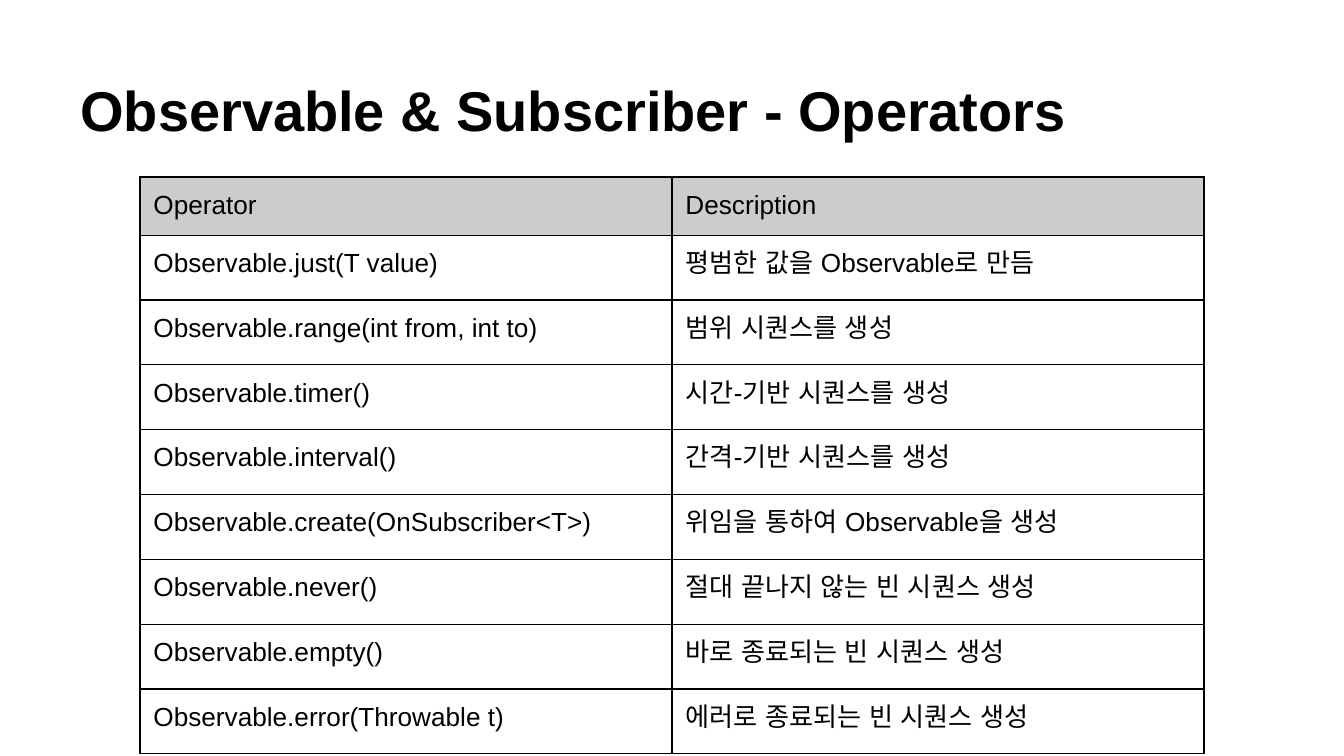
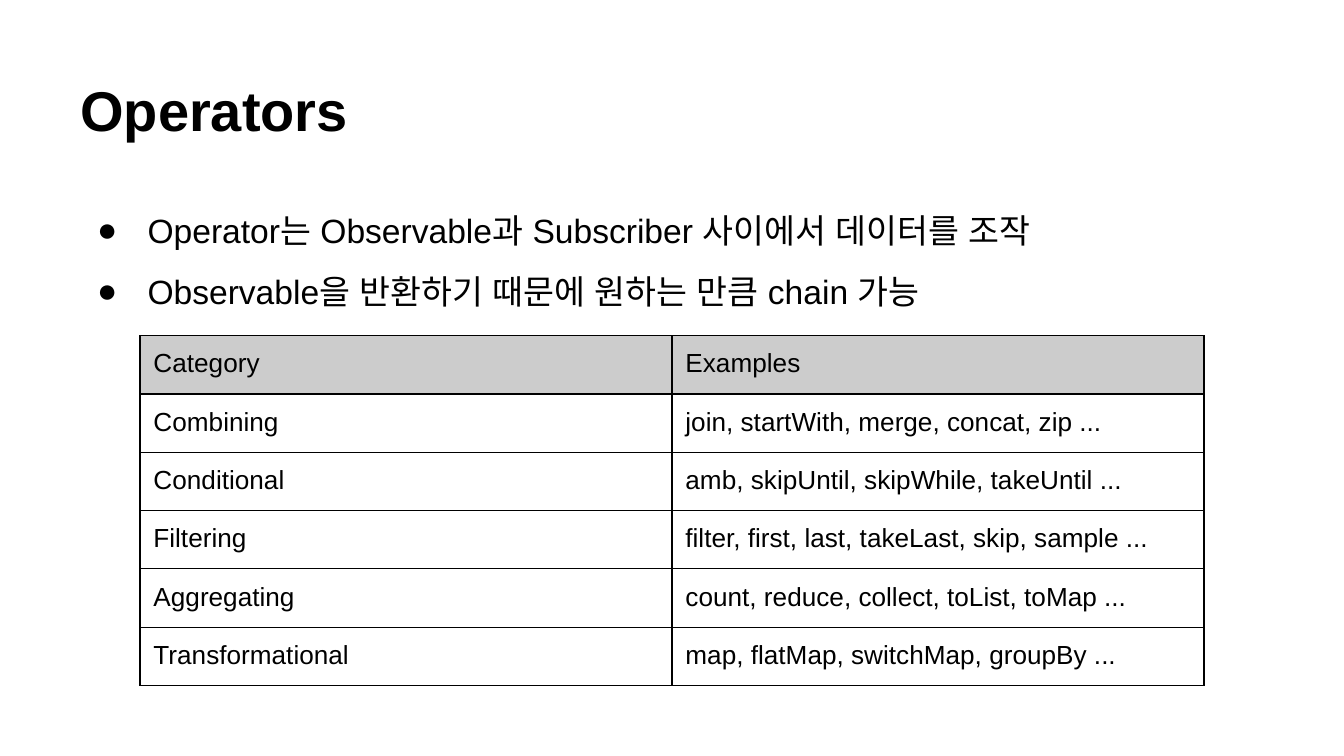
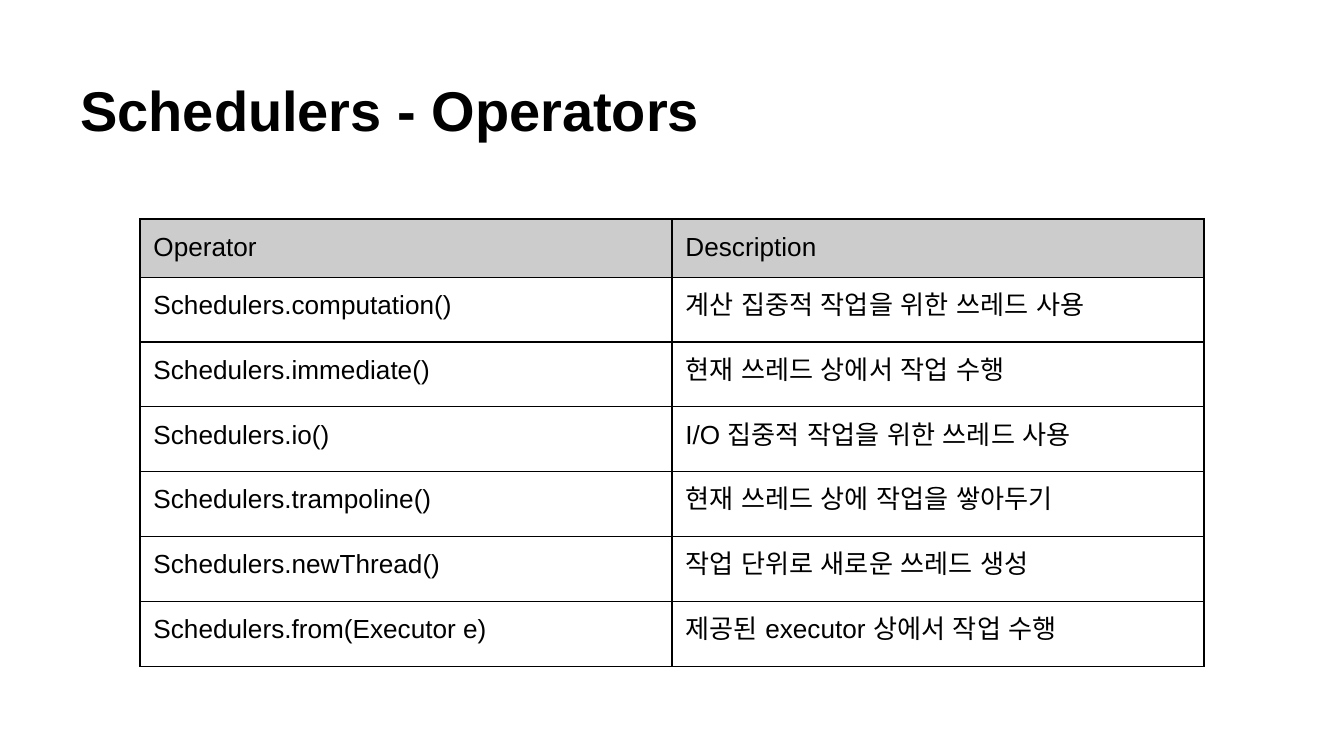
"""Build three slides on reactive operators and schedulers."""
from lxml.etree import SubElement
from pptx import Presentation
from pptx.dml.color import RGBColor
from pptx.enum.text import MSO_ANCHOR as Anchor
from pptx.oxml.ns import qn
from pptx.util import Pt

BLACK = RGBColor(0x00, 0x00, 0x00)
HEADER_GRAY = RGBColor(0xCC, 0xCC, 0xCC)
WHITE = RGBColor(0xFF, 0xFF, 0xFF)
FONT = "Arial"
SLIDE_WIDTH, SLIDE_HEIGHT = 720, 405
MARGIN, INSET = 36, 7.2
TABLE_WIDTH = 570
LATIN_ROW, KOREAN_ROW = 30, 34.75
TABLE_LEFT = (SLIDE_WIDTH - TABLE_WIDTH) / 2

SLIDES = [
    {
        "title": "Observable & Subscriber - Operators",
        "points": [],
        "table_top": 94.8,
        "rows": [
            ("Operator", "Description"),
            ("Observable.just(T value)", "평범한 값을 Observable로 만듬"),
            ("Observable.range(int from, int to)", "범위 시퀀스를 생성"),
            ("Observable.timer()", "시간-기반 시퀀스를 생성"),
            ("Observable.interval()", "간격-기반 시퀀스를 생성"),
            ("Observable.create(OnSubscriber<T>)", "위임을 통하여 Observable을 생성"),
            ("Observable.never()", "절대 끝나지 않는 빈 시퀀스 생성"),
            ("Observable.empty()", "바로 종료되는 빈 시퀀스 생성"),
            ("Observable.error(Throwable t)", "에러로 종료되는 빈 시퀀스 생성"),
        ],
    },
    {
        "title": "Operators",
        "points": [
            "Operator는 Observable과 Subscriber 사이에서 데이터를 조작",
            "Observable을 반환하기 때문에 원하는 만큼 chain 가능",
        ],
        "table_top": 179.8,
        "rows": [
            ("Category", "Examples"),
            ("Combining", "join, startWith, merge, concat, zip ..."),
            ("Conditional", "amb, skipUntil, skipWhile, takeUntil ..."),
            ("Filtering", "filter, first, last, takeLast, skip, sample ..."),
            ("Aggregating", "count, reduce, collect, toList, toMap ..."),
            ("Transformational", "map, flatMap, switchMap, groupBy ..."),
        ],
    },
    {
        "title": "Schedulers - Operators",
        "points": [],
        "table_top": 117.3,
        "rows": [
            ("Operator", "Description"),
            ("Schedulers.computation()", "계산 집중적 작업을 위한 쓰레드 사용"),
            ("Schedulers.immediate()", "현재 쓰레드 상에서 작업 수행"),
            ("Schedulers.io()", "I/O 집중적 작업을 위한 쓰레드 사용"),
            ("Schedulers.trampoline()", "현재 쓰레드 상에 작업을 쌓아두기"),
            ("Schedulers.newThread()", "작업 단위로 새로운 쓰레드 생성"),
            ("Schedulers.from(Executor e)", "제공된 executor 상에서 작업 수행"),
        ],
    },
]


def style(paragraph, size, bold=False):
    font = paragraph.font
    font.name, font.size, font.bold = FONT, Pt(size), bold
    font.color.rgb = BLACK
    defaults = paragraph._p.pPr.find(qn("a:defRPr"))
    for script in ("ea", "cs"):
        SubElement(defaults, qn(f"a:{script}"), typeface=FONT)


def set_insets(holder):
    holder.margin_left = holder.margin_right = Pt(INSET)
    holder.margin_top = holder.margin_bottom = Pt(INSET)


def add_text(slide, top, height, lines, size, bold=False, anchor=Anchor.TOP):
    box = slide.shapes.add_textbox(
        Pt(MARGIN), Pt(top), Pt(SLIDE_WIDTH - 2 * MARGIN), Pt(height))
    frame = box.text_frame
    frame.word_wrap = True
    frame.vertical_anchor = anchor
    set_insets(frame)
    frame.text = "\n".join(lines)
    for paragraph in frame.paragraphs:
        style(paragraph, size, bold)
    return frame.paragraphs


def add_bullet(paragraph):
    paragraph.line_spacing = 1.5
    properties = paragraph._p.get_or_add_pPr()
    properties.set("marL", str(Pt(36)))
    properties.set("indent", str(-Pt(27)))
    defaults = properties.find(qn("a:defRPr"))
    color = SubElement(properties, qn("a:buClr"))
    SubElement(color, qn("a:srgbClr"), val=str(BLACK))
    SubElement(properties, qn("a:buFont"), typeface=FONT)
    SubElement(properties, qn("a:buChar"), char="●")
    properties.append(defaults)


def add_borders(cell):
    properties = cell._tc.get_or_add_tcPr()
    for side in ("L", "R", "T", "B"):
        line = SubElement(properties, qn(f"a:ln{side}"), w=str(Pt(0.75)))
        fill = SubElement(line, qn("a:solidFill"))
        SubElement(fill, qn("a:srgbClr"), val=str(BLACK))


def row_height(row):
    return LATIN_ROW if "".join(row).isascii() else KOREAN_ROW


def add_grid(slide, top, rows):
    columns = len(rows[0])
    heights = [row_height(row) for row in rows]
    table = slide.shapes.add_table(
        len(rows), columns, Pt(TABLE_LEFT), Pt(top),
        Pt(TABLE_WIDTH), Pt(sum(heights))).table
    table.first_row = table.horz_banding = False
    for column in table.columns:
        column.width = Pt(TABLE_WIDTH / columns)
    for row_index, row in enumerate(rows):
        table.rows[row_index].height = Pt(heights[row_index])
        for column_index, entry in enumerate(row):
            cell = table.cell(row_index, column_index)
            cell.text = entry
            set_insets(cell)
            style(cell.text_frame.paragraphs[0], 14)
            add_borders(cell)
            if row_index == 0:
                cell.fill.solid()
                cell.fill.fore_color.rgb = HEADER_GRAY
            else:
                cell.fill.background()


deck = Presentation()
deck.slide_width, deck.slide_height = Pt(SLIDE_WIDTH), Pt(SLIDE_HEIGHT)
background = deck.slide_master.background.fill
background.solid()
background.fore_color.rgb = WHITE

for content in SLIDES:
    slide = deck.slides.add_slide(deck.slide_layouts[6])
    add_text(slide, 16.2, 67.5, [content["title"]], 30, True, Anchor.BOTTOM)
    if content["points"]:
        for point in add_text(slide, 94.5, 293, content["points"], 18):
            add_bullet(point)
    add_grid(slide, content["table_top"], content["rows"])

deck.save("out.pptx")
